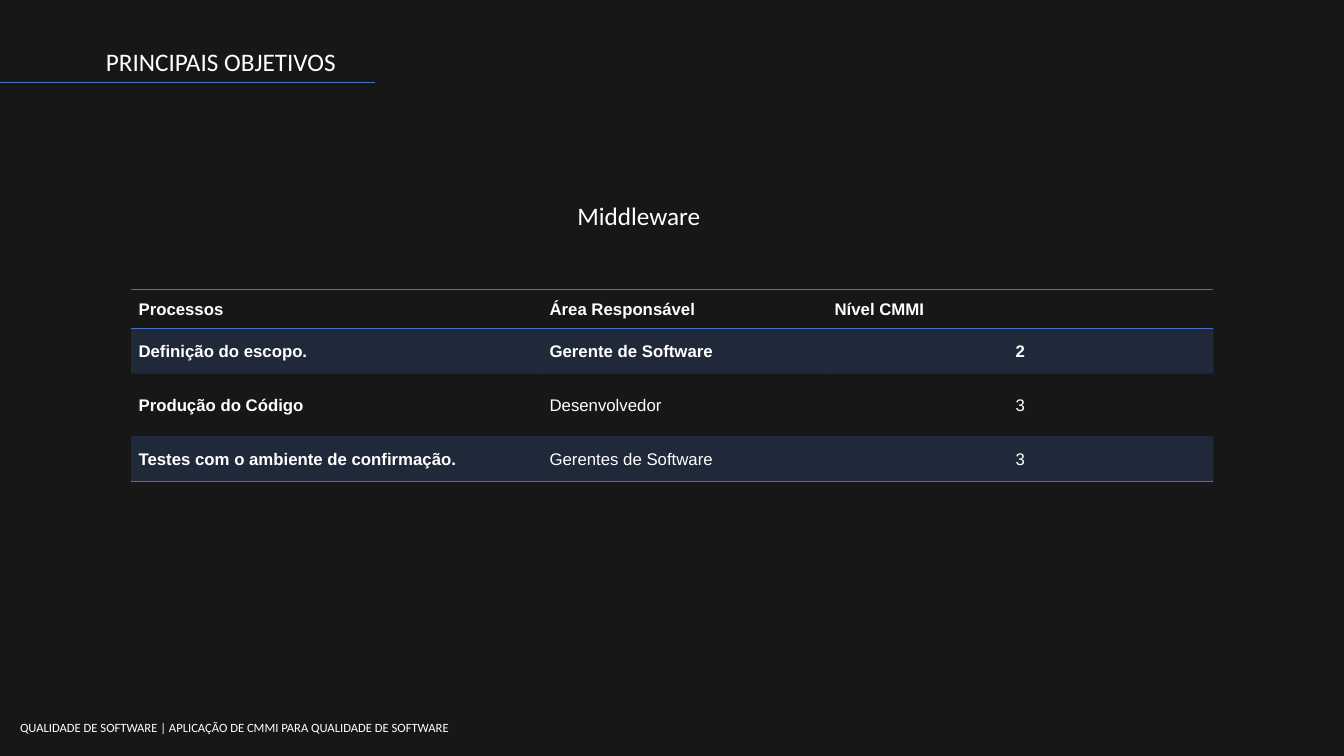
from lxml.etree import SubElement
from pptx import Presentation
from pptx.dml.color import RGBColor
from pptx.enum.shapes import MSO_CONNECTOR
from pptx.enum.text import MSO_ANCHOR, MSO_AUTO_SIZE, PP_ALIGN
from pptx.oxml.ns import qn
from pptx.util import Pt

COLORS = {"background": "181717", "accent": "4472C4", "text": "FFFFFF"}
NO_STYLE_NO_GRID = "{2D5ABB26-0587-4C30-8999-92F81FD0307C}"


def format_label(shape, text, size):
    frame = shape.text_frame
    frame.text = text
    frame.word_wrap = False
    frame.auto_size = MSO_AUTO_SIZE.SHAPE_TO_FIT_TEXT
    frame.vertical_anchor = MSO_ANCHOR.TOP
    paragraph = frame.paragraphs[0]
    paragraph.alignment = PP_ALIGN.LEFT
    font = paragraph.runs[0].font
    font.name = "Calibri"
    font.size = Pt(size)
    font.color.rgb = RGBColor.from_string(COLORS["text"])


def add_border(cell, tag):
    line = SubElement(cell._tc.get_or_add_tcPr(), qn(tag), w=str(Pt(1)))
    fill = SubElement(line, qn("a:solidFill"))
    SubElement(fill, qn("a:srgbClr"), val=COLORS["accent"])


presentation = Presentation()
presentation.slide_width = Pt(960)
presentation.slide_height = Pt(540)
slide = presentation.slides.add_slide(presentation.slide_layouts[5])
slide.background.fill.solid()
slide.background.fill.fore_color.rgb = RGBColor.from_string(COLORS["background"])

# Process table
rows = [
    ("Processos", "Área Responsável", "Nível CMMI"),
    ("Definição do escopo.", "Gerente de Software", "2"),
    ("Produção do Código", "Desenvolvedor", "3"),
    ("Testes com o ambiente de confirmação.", "Gerentes de Software", "3"),
]
column_widths = [293.6, 203.6, 276]
row_heights = [28, 32.2, 44.6, 32.2]
table_shape = slide.shapes.add_table(
    len(rows), len(column_widths), Pt(93.6), Pt(206.8),
    Pt(sum(column_widths)), Pt(sum(row_heights)))
table = table_shape.table
table.horz_banding = False
table._tbl.tblPr.find(qn("a:tableStyleId")).text = NO_STYLE_NO_GRID
for column, width in zip(table.columns, column_widths):
    column.width = Pt(width)

last_row = len(rows) - 1
for row_index, values in enumerate(rows):
    table.rows[row_index].height = Pt(row_heights[row_index])
    for column_index, value in enumerate(values):
        cell = table.cell(row_index, column_index)
        cell.text_frame.text = value
        cell.vertical_anchor = MSO_ANCHOR.MIDDLE
        cell.margin_left = cell.margin_right = Pt(5.4)
        cell.margin_top = cell.margin_bottom = Pt(0)

        paragraph = cell.text_frame.paragraphs[0]
        is_level = row_index > 0 and column_index == 2
        paragraph.alignment = PP_ALIGN.CENTER if is_level else PP_ALIGN.JUSTIFY
        paragraph.line_spacing = 1.07
        paragraph.space_before = paragraph.space_after = Pt(6)
        font = paragraph.runs[0].font
        font.name = "Arial"
        font.size = Pt(12)
        font.bold = row_index < 2 or column_index == 0
        font.color.rgb = RGBColor.from_string(COLORS["text"])

        # Rules around the header and below the last row
        if row_index == 0:
            add_border(cell, "a:lnT")
        if row_index in (0, last_row):
            add_border(cell, "a:lnB")

        # Translucent bands on odd rows
        if row_index % 2:
            cell.fill.solid()
            cell.fill.fore_color.rgb = RGBColor.from_string(COLORS["accent"])
            band_color = cell._tc.tcPr.find(qn("a:solidFill")).find(qn("a:srgbClr"))
            SubElement(band_color, qn("a:alpha"), val="20000")
        else:
            cell.fill.background()

# Title and its underline
underline = slide.shapes.add_connector(
    MSO_CONNECTOR.STRAIGHT, Pt(0), Pt(59), Pt(267.8), Pt(59))
underline.line.color.rgb = RGBColor.from_string(COLORS["accent"])
underline.line.width = Pt(0.5)
SubElement(underline._element.spPr, qn("a:effectLst"))

title = slide.shapes.title
title.left, title.top, title.width, title.height = Pt(68.4), Pt(29.5), Pt(180), Pt(29)
format_label(title, "PRINCIPAIS OBJETIVOS", 18)

# Table heading and footer
labels = [
    ("Middleware", 18, 405.4, 139.7, 103, 29),
    ("QUALIDADE DE SOFTWARE | APLICAÇÃO DE CMMI PARA QUALIDADE DE SOFTWARE",
     9, 7.2, 510.5, 325.4, 18),
]
for text, size, left, top, width, height in labels:
    label = slide.shapes.add_textbox(Pt(left), Pt(top), Pt(width), Pt(height))
    format_label(label, text, size)

presentation.save("out.pptx")
